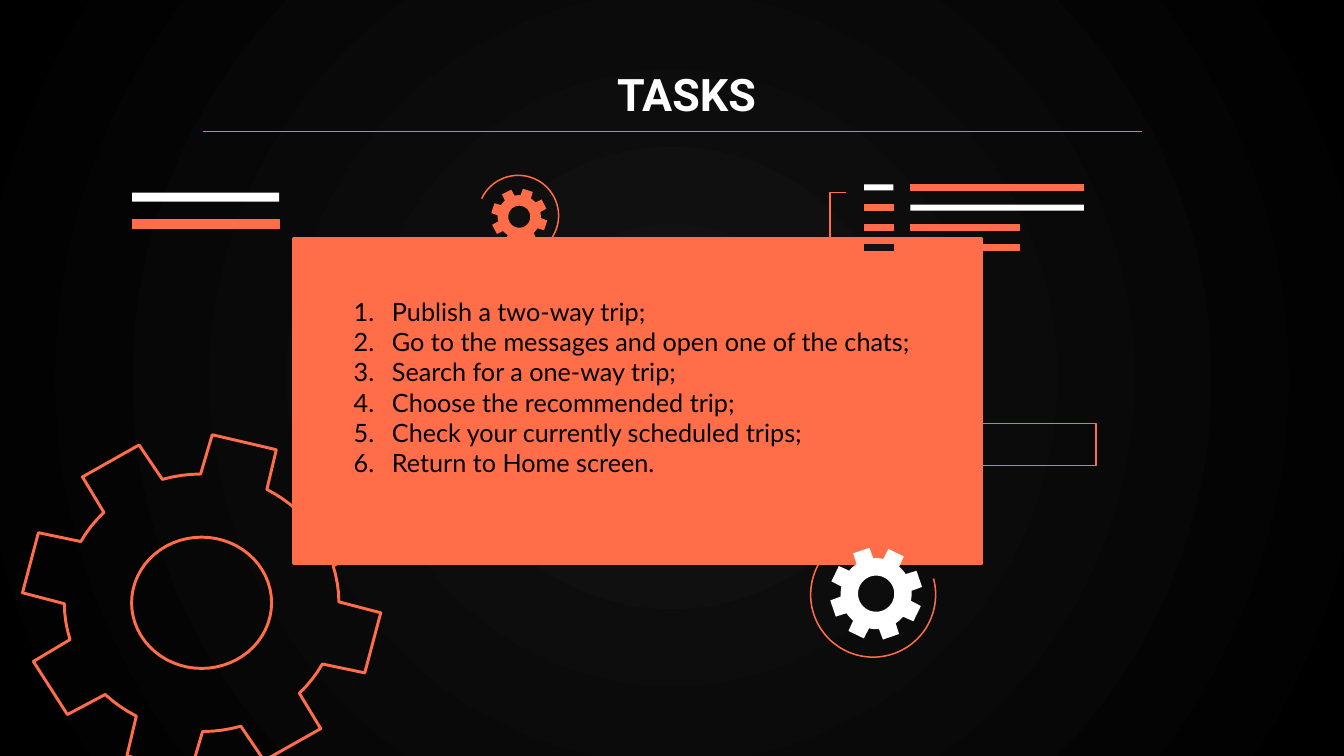
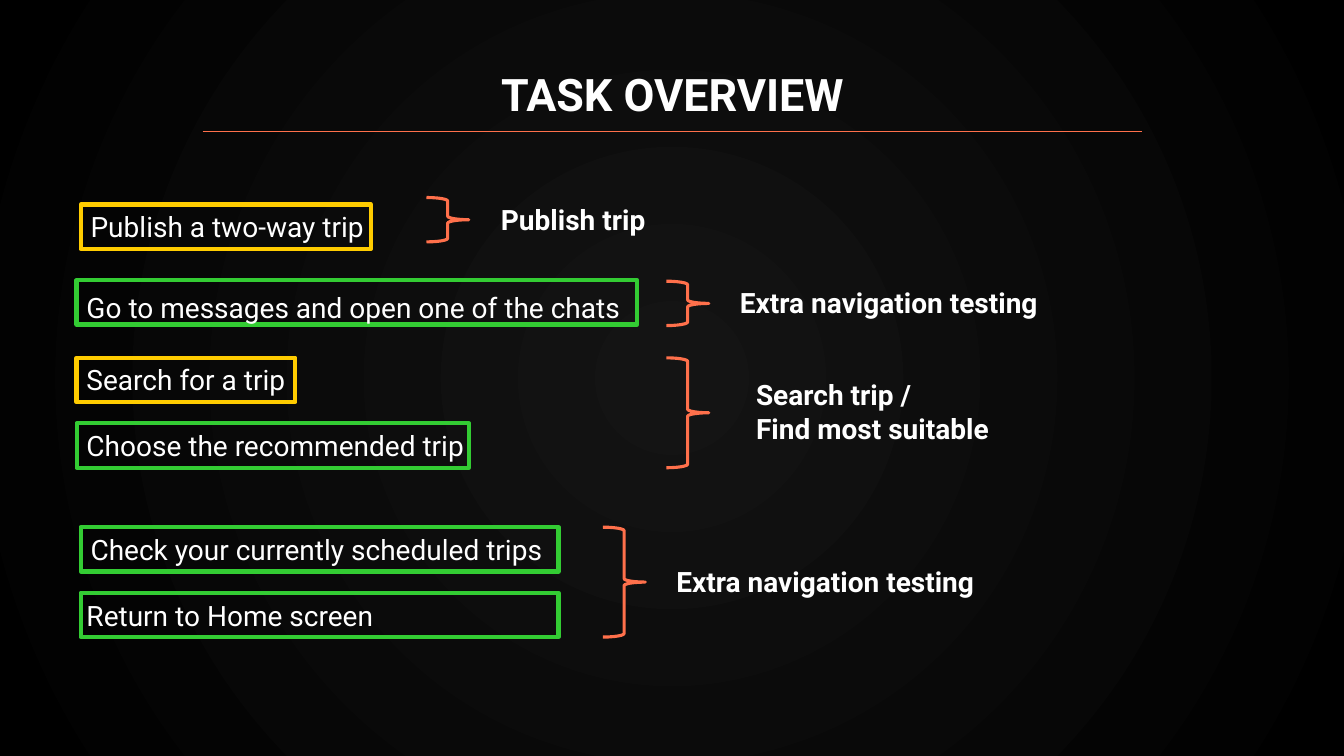
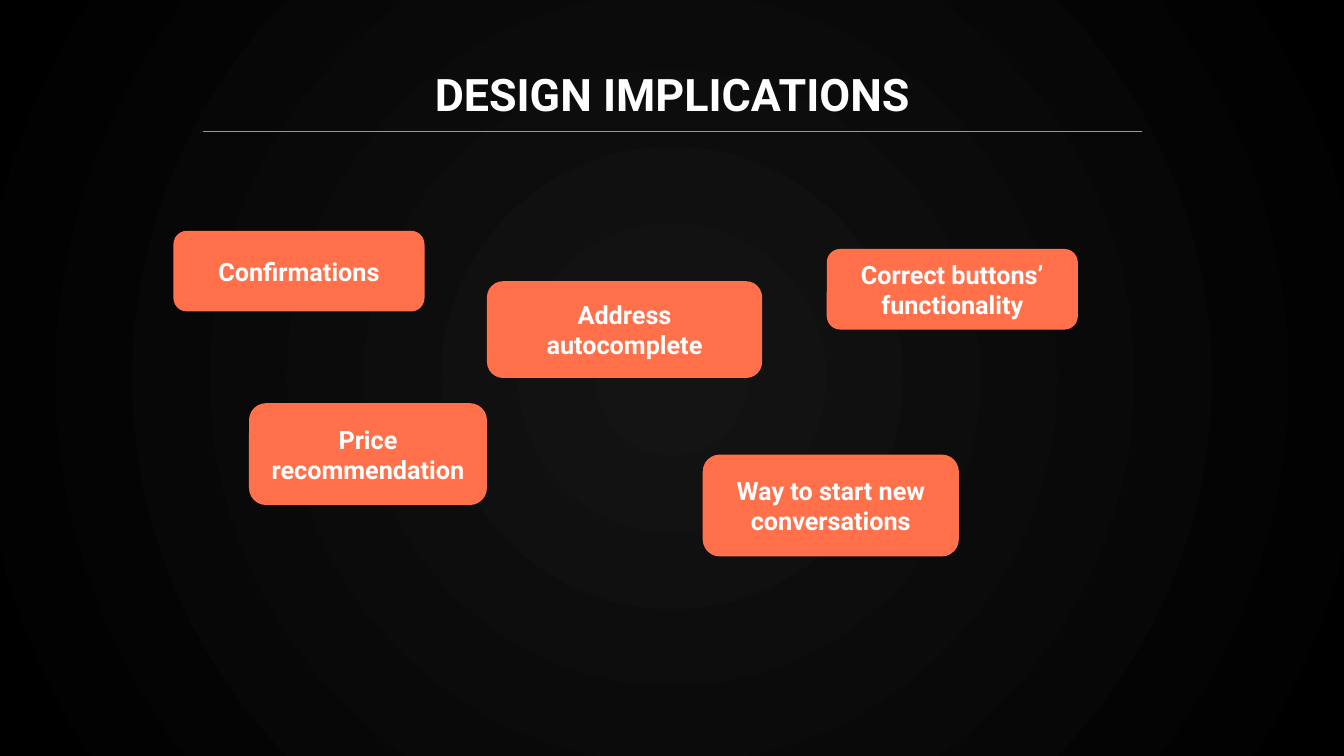
"""Build three dark slides on usability tasks and their design implications."""
from math import cos, radians, sin

from lxml import etree
from pptx import Presentation
from pptx.dml.color import RGBColor
from pptx.enum.shapes import MSO_CONNECTOR, MSO_SHAPE
from pptx.enum.text import MSO_ANCHOR, MSO_AUTO_SIZE, PP_ALIGN
from pptx.oxml.ns import qn
from pptx.util import Inches, Pt

RECT, ROUND, BRACE = MSO_SHAPE.RECTANGLE, MSO_SHAPE.ROUNDED_RECTANGLE, MSO_SHAPE.RIGHT_BRACE
LEFT, CENTER = PP_ALIGN.LEFT, PP_ALIGN.CENTER
GROW = MSO_AUTO_SIZE.SHAPE_TO_FIT_TEXT
CORAL, ORANGE, WHITE, BLACK = "FF6D49", "FF704B", "FFFFFF", "000000"
CHARCOAL, YELLOW, GREEN = "131313", "FFCC00", "33CC33"
TITLE_FONT, LIST_FONT = "Roboto", "Lato"


def paint(shape, fill=None, line=None, width=0.75):
    """Set the fill and line of a shape from hex strings, without a shadow."""
    shape.shadow.inherit = False
    for part, color in ((shape.fill, fill), (shape.line.fill, line)):
        if color:
            part.solid()
            part.fore_color.rgb = RGBColor.from_string(color)
        else:
            part.background()
    if line:
        shape.line.width = Pt(width)


def write(frame, text, size, color=WHITE, bold=False, align=LEFT, font=TITLE_FONT):
    """Fill a text frame, one paragraph for each line of text."""
    frame.text = text
    for paragraph in frame.paragraphs:
        paragraph.alignment = align
        paragraph.font.size = Pt(size)
        paragraph.font.bold = bold
        paragraph.font.name = font
        paragraph.font.color.rgb = RGBColor.from_string(color)


deck = Presentation()
deck.slide_width, deck.slide_height = Inches(13.33), Inches(7.5)

glow = deck.slide_master.background.fill
glow.gradient()
for stop, color in zip(glow.gradient_stops, ("141414", BLACK)):
    stop.color.rgb = RGBColor.from_string(color)
    stop.position = 0 if color != BLACK else 1
linear = next(deck.slide_master.element.iter(qn("a:lin")))
radial = etree.Element(qn("a:path"))
radial.set("path", "circle")
center = etree.SubElement(radial, qn("a:fillToRect"))
for side in "ltrb":
    center.set(side, "50000")
linear.getparent().replace(linear, radial)

slides = []
for heading, left in (("TASKS", 1.88), ("TASK OVERVIEW", 1.74), ("DESIGN IMPLICATIONS", 1.74)):
    slide = deck.slides.add_slide(deck.slide_layouts[5])
    title = slide.shapes.title
    title.left, title.top, title.width, title.height = map(Inches, (left, 0.64, 9.86, 0.66))
    frame = title.text_frame
    write(frame, heading, 32, bold=True, align=CENTER)
    frame.vertical_anchor = MSO_ANCHOR.BOTTOM
    frame.margin_left = frame.margin_right = frame.margin_top = frame.margin_bottom = Inches(0.1)
    rule = slide.shapes.add_connector(MSO_CONNECTOR.STRAIGHT, *map(Inches, (2.01, 1.3, 11.33, 1.3)))
    rule.line.color.rgb = RGBColor.from_string(ORANGE)
    rule.line.width = Pt(0.75)
    etree.SubElement(rule._element.spPr, qn("a:effectLst"))
    slides.append(slide.shapes)
tasks, overview, implications = slides

panel = tasks.add_shape(RECT, *map(Inches, (2.91, 2.37, 6.83, 3.22)))
paint(panel, CORAL, CORAL, 2)

TEETH, ROOT, HOLE = 8, 0.765, 0.39
gears = [
    (2.0, 5.98, 1.78, 1.67, 14, None, CORAL),
    (8.69, 5.89, 0.46, 0.46, 26, WHITE, None),
    (5.15, 2.15, 0.28, 0.28, 18, CORAL, None),
]
outlines = []
for x, y, rx, ry, phase, fill, line in gears:
    rim = []
    for tooth in range(TEETH):
        middle = phase + tooth * 360 / TEETH
        rim += [(ROOT, middle - 14.4), (1, middle - 10.6), (1, middle + 10.6)]
        rim += [(ROOT, middle + 14.4 + step * 4) for step in range(4)]
    hole = [(HOLE, angle) for angle in range(0, 360, 6)]
    contours = [[(x + rx * r * cos(radians(a)), y + ry * r * sin(radians(a))) for r, a in ring]
                for ring in (rim, hole)]
    outlines.append((contours, True, fill, line, 2.1))
for x, y, radius, start, end in ((5.14, 2.14, 0.4, -155, 97), (8.66, 5.9, 0.62, -15, 233)):
    arc = [(x + radius * cos(radians(a)), y + radius * sin(radians(a)))
           for a in range(start, end + 1, 4)]
    outlines.append(([arc], False, None, CORAL, 1.09))
bracket = [(8.39, 2.51), (8.23, 2.51), (8.23, 1.91), (8.39, 1.91)]
outlines.append(([bracket], False, None, CORAL, 1.09))

for contours, closed, fill, line, width in outlines:
    first, *others = [[(Inches(x), Inches(y)) for x, y in contour] for contour in contours]
    builder = tasks.build_freeform(*first[0])
    builder.add_line_segments(first[1:], close=closed)
    for contour in others:
        builder.move_to(*contour[0])
        builder.add_line_segments(contour[1:], close=closed)
    paint(builder.convert_to_shape(), fill, line, width)

bars = [(1.31, 1.91, 1.46, 0.09, WHITE), (1.31, 2.18, 1.46, 0.09, CORAL)]
code_rows = [(WHITE, CORAL, 1.72), (CORAL, WHITE, 1.72), (CORAL, CORAL, 1.08), (CHARCOAL, CORAL, 1.08)]
for row, (key_color, value_color, length) in enumerate(code_rows):
    top = 1.83 + 0.2 * row
    bars += [(8.57, top, 0.29, 0.06, key_color), (9.03, top, length, 0.06, value_color)]
for *place, color in bars:
    bar = tasks.add_shape(RECT, *map(Inches, place))
    paint(bar, color, None if color == WHITE else color)
tab = tasks.add_shape(RECT, *map(Inches, (8.76, 4.2, 2.11, 0.42)))
paint(tab, None, CORAL, 1.09)

steps = tasks.add_textbox(*map(Inches, (3.41, 2.89, 5.83, 1.92))).text_frame
steps.word_wrap = True
steps.auto_size = GROW
write(steps, "\n".join((
    "Publish a two-way trip;",
    "Go to the messages and open one of the chats;",
    "Search for a one-way trip;",
    "Choose the recommended trip;",
    "Check your currently scheduled trips;",
    "Return to Home screen.",
)), 18, BLACK, font=LIST_FONT)
for paragraph in steps.paragraphs:
    properties = paragraph._p.get_or_add_pPr()
    properties.set("marL", str(Inches(0.38)))
    properties.set("indent", str(-Inches(0.38)))
    number = etree.Element(qn("a:buAutoNum"))
    number.set("type", "arabicPeriod")
    properties.insert(0, number)

ROW = 0.44
task_frames = [
    (0.8, 2.03, 2.88, YELLOW), (0.76, 2.78, 5.56, GREEN), (0.76, 3.55, 2.17, YELLOW),
    (0.76, 4.2, 3.89, GREEN), (0.8, 5.23, 4.74, GREEN), (0.8, 5.88, 4.74, GREEN),
]
for left, top, width, color in task_frames:
    task_frame = overview.add_shape(RECT, *map(Inches, (left, top, width, ROW)))
    paint(task_frame, None, color, 3)
for left, top, height in ((4.23, 1.96, ROW), (6.61, 2.79, ROW), (6.61, 3.55, 1.09), (5.98, 5.23, 1.09)):
    brace = overview.add_shape(BRACE, *map(Inches, (left, top, 0.42, height)))
    paint(brace, None, ORANGE, 2.25)

labels = [
    (0.8, 2.03, 3.01, ROW, "Publish a two-way trip", False),
    (0.76, 2.83, 5.56, ROW, "Go to messages and open one of the chats", False),
    (0.76, 3.55, 2.27, ROW, "Search for a trip", False),
    (0.76, 4.2, 3.97, ROW, "Choose the recommended trip", False),
    (0.8, 5.23, 4.74, ROW, "Check your currently scheduled trips", False),
    (0.76, 5.89, 5.5, ROW, "Return to Home screen", False),
    (4.87, 1.96, 1.74, ROW, "Publish trip", True),
    (7.24, 2.78, 3.38, ROW, "Extra navigation testing", True),
    (7.4, 3.7, 2.68, 0.77, "Search trip /\nFind most suitable", True),
    (6.61, 5.55, 3.38, ROW, "Extra navigation testing", True),
]
for *place, text, bold in labels:
    label = overview.add_textbox(*map(Inches, place)).text_frame
    label.word_wrap = text == "Return to Home screen"
    label.auto_size = GROW
    write(label, text, 20, bold=bold)

ideas = [
    (2.47, 4, 2.36, 1.01, "Price recommendation"),
    (4.83, 2.79, 2.73, 0.96, "Address autocomplete"),
    (1.72, 2.29, 2.49, 0.8, "Confirmations"),
    (6.97, 4.51, 2.54, 1.01, "Way to start new conversations"),
    (8.2, 2.47, 2.49, 0.8, "Correct buttons’ functionality"),
]
for *place, text in ideas:
    idea = implications.add_shape(ROUND, *map(Inches, place))
    paint(idea, ORANGE)
    idea.text_frame.vertical_anchor = MSO_ANCHOR.MIDDLE
    write(idea.text_frame, text, 18, bold=True, align=CENTER)

deck.save("out.pptx")
